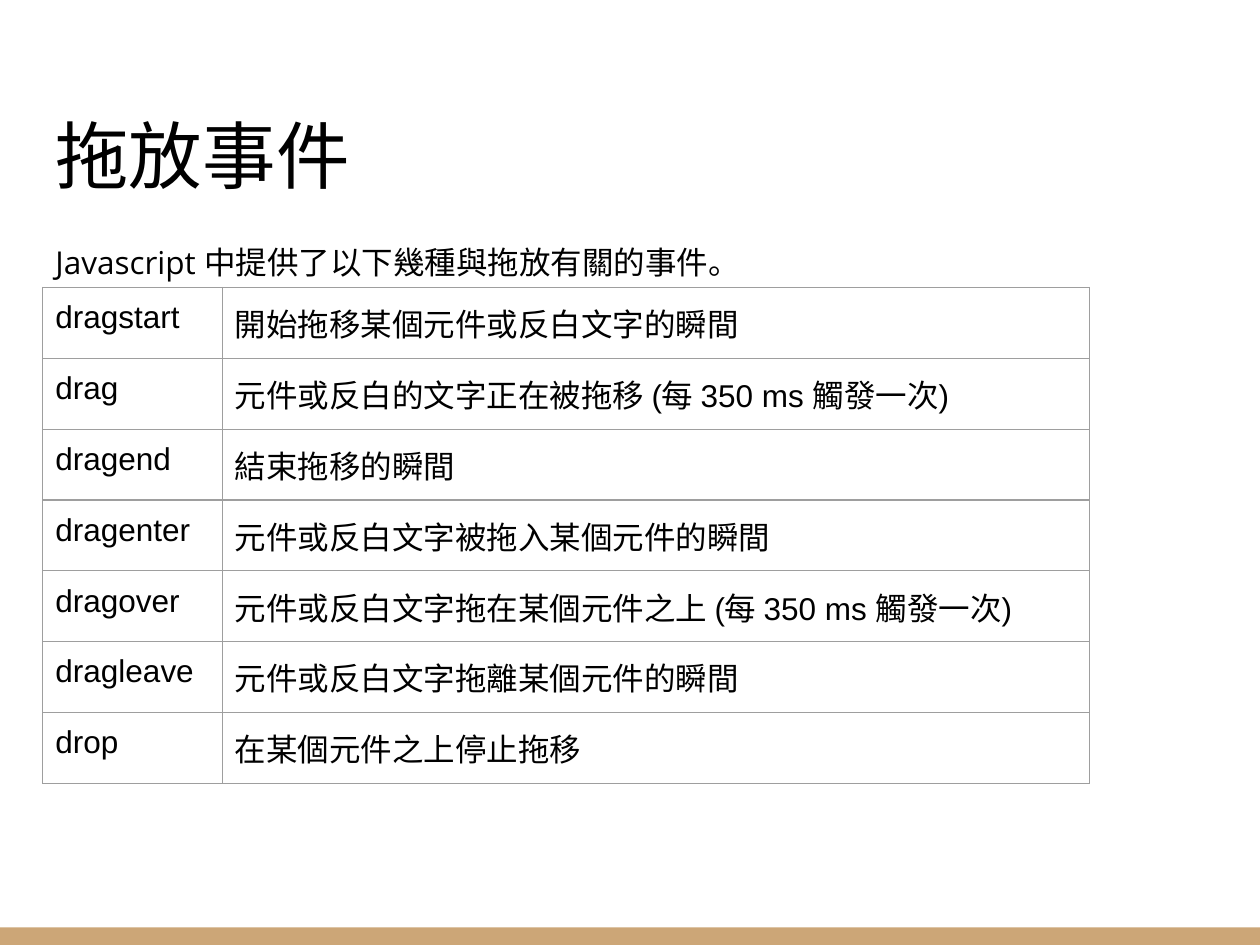
from lxml import etree
from pptx import Presentation
from pptx import util as u
from pptx.dml.color import RGBColor
from pptx.enum import shapes, text
from pptx.oxml import ns

Pt = u.Pt
HUES = {"ink": "000000", "band": "CCA677", "rule": "9E9E9E"}
PAD = 7.2
EVENTS = [
    ("dragstart", "開始拖移某個元件或反白文字的瞬間"),
    ("drag", "元件或反白的文字正在被拖移 (每 350 ms 觸發一次)"),
    ("dragend", "結束拖移的瞬間"),
    ("dragenter", "元件或反白文字被拖入某個元件的瞬間"),
    ("dragover", "元件或反白文字拖在某個元件之上 (每 350 ms 觸發一次)"),
    ("dragleave", "元件或反白文字拖離某個元件的瞬間"),
    ("drop", "在某個元件之上停止拖移"),
]


def hue(name):
    """Look up a colour by name."""
    return RGBColor.from_string(HUES[name])


def write(frame, words, size=18, font="Arial", line=1.0, after=0, scripts=()):
    """Fill a text frame with one formatted, unbulleted paragraph."""
    frame.word_wrap = True
    para = frame.paragraphs[0]
    para.alignment = text.PP_ALIGN.LEFT
    para.line_spacing = line
    para.space_before, para.space_after = Pt(0), Pt(after)
    props = para._p.get_or_add_pPr()
    props.set("marL", "0")
    props.set("indent", "0")
    etree.SubElement(props, ns.qn("a:buNone"))
    run = para.add_run()
    run.text = words
    run.font.size, run.font.name = Pt(size), font
    run.font.color.rgb = hue("ink")
    for tag in scripts:
        etree.SubElement(run._r.get_or_add_rPr(), ns.qn(tag), typeface=font)


def place(holder, box, words, anchor, **form):
    """Move a placeholder into a box and write its text."""
    holder.left, holder.top, holder.width, holder.height = map(Pt, box)
    frame = holder.text_frame
    frame.auto_size = text.MSO_AUTO_SIZE.NONE
    frame.vertical_anchor = anchor
    frame.margin_left = frame.margin_right = Pt(PAD)
    frame.margin_top = frame.margin_bottom = Pt(PAD)
    write(frame, words, scripts=("a:ea", "a:cs"), **form)


def rule(cell):
    """Draw a thin line on all four sides of a cell."""
    props = cell._tc.get_or_add_tcPr()
    for spot, side in enumerate(("lnL", "lnR", "lnT", "lnB")):
        line = etree.Element(ns.qn("a:" + side), w=str(Pt(0.75)))
        fill = etree.SubElement(line, ns.qn("a:solidFill"))
        etree.SubElement(fill, ns.qn("a:srgbClr"), val=HUES["rule"])
        props.insert(spot, line)


def chart_events(slide, box, widths, events):
    """Build the table of events in a box."""
    frame = slide.shapes.add_table(len(events), len(widths), *map(Pt, box))
    table = frame.table
    table.first_row = table.horz_banding = False
    for column, width in zip(table.columns, widths):
        column.width = Pt(width)
    for row, event in zip(table.rows, events):
        row.height = Pt(box[3] / len(events))
        for cell, words in zip(row.cells, event):
            cell.fill.background()
            cell.margin_left = cell.margin_right = Pt(PAD)
            cell.margin_top = cell.margin_bottom = Pt(PAD)
            write(cell.text_frame, words)
            rule(cell)


def add_band(slide, box):
    """Draw the coloured band in a box."""
    band = slide.shapes.add_shape(shapes.MSO_SHAPE.RECTANGLE, *map(Pt, box))
    band.shadow.inherit = False
    band.fill.solid()
    band.fill.fore_color.rgb = hue("band")
    band.line.fill.background()


def main():
    """Build the slide and save it."""
    deck = Presentation()
    deck.slide_width, deck.slide_height = Pt(720), Pt(540)
    slide = deck.slides.add_slide(deck.slide_layouts[1])
    left, wide = 24.5, 671
    add_band(slide, (0, 530, 720, 10))
    place(slide.shapes.title, (left, 33.5, wide, 87), "拖放事件",
          text.MSO_ANCHOR.BOTTOM, size=42, font="Calibri")
    place(slide.placeholders[1], (left, 128.5, wide, 36.5),
          "Javascript 中提供了以下幾種與拖放有關的事件。",
          text.MSO_ANCHOR.TOP, font="Open Sans", line=1.15, after=16)
    widths = (102.6, 495.3)
    chart_events(slide, (left, 164.3, sum(widths), 283.5), widths, EVENTS)
    deck.save("out.pptx")


if __name__ == "__main__":
    main()
